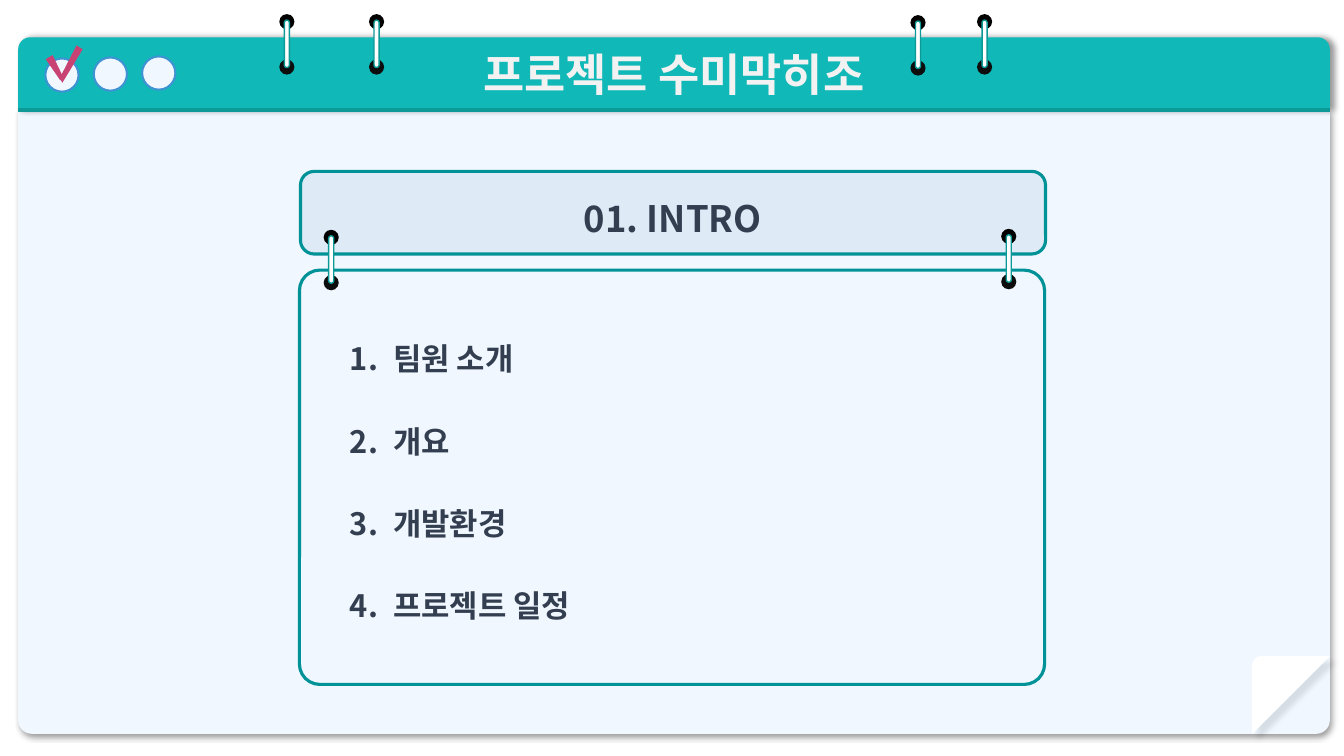
import math
from lxml import etree
from pptx import Presentation, util as u
from pptx.dml import color
from pptx.enum import shapes, text
from pptx.oxml import ns

HUES = {
    "teal": "10B8B7", "edge": "0D9A97", "frame": "009297", "page": "F0F7FF",
    "pale": "DEEBF7", "blue": "3E93D3", "rose": "C84374", "ink": "333F50",
    "light": "F2F2F2", "white": "FFFFFF", "black": "000000", "dark": "0D0D0D",
}
FONT = "Noto Sans CJK KR"
KIND = shapes.MSO_SHAPE
SIDE = text.PP_ALIGN
DOT = 0.15


def hue(name):
    return color.RGBColor.from_string(HUES[name])


def add_sub(node, tag, **attrs):
    return etree.SubElement(node, ns.qn(tag), attrs)


def style(shape, fill=None, line=None, width=1, shade=None):
    """Set fill and line; shade is (alpha %, blur pt, distance pt, angle)."""
    shape.shadow.inherit = False
    if fill:
        shape.fill.solid()
        shape.fill.fore_color.rgb = hue(fill)
    else:
        shape.fill.background()
    if line:
        shape.line.color.rgb = hue(line)
        shape.line.width = u.Pt(width)
    else:
        shape.line.fill.background()
    if shade:
        alpha, blur, dist, angle = shade
        list_node = shape._element.spPr.find(ns.qn("a:effectLst"))
        cast = add_sub(list_node, "a:outerShdw", blurRad=str(u.Pt(blur)),
                       dist=str(u.Pt(dist)), dir=str(angle * 60000),
                       algn="ctr", rotWithShape="0")
        tint = add_sub(cast, "a:srgbClr", val=HUES["black"])
        add_sub(tint, "a:alpha", val=str(alpha * 1000))
    return shape


def draw(slide, kind, box, adj=(), turn=0, **look):
    shape = slide.shapes.add_shape(kind, *map(u.Inches, box))
    for i, value in enumerate(adj):
        shape.adjustments[i] = value
    shape.rotation = turn
    return style(shape, **look)


def trace(slide, points, **look):
    spots = [(u.Inches(x), u.Inches(y)) for x, y in points]
    form = slide.shapes.build_freeform(*spots[0], scale=1)
    form.add_line_segments(spots[1:], close=True)
    return style(form.convert_to_shape(), **look)


def write(shape, lines, size=22, tint="ink", align=SIDE.LEFT, space=1.0, gap=0):
    frame = shape.text_frame
    frame.word_wrap = True
    frame.auto_size = text.MSO_AUTO_SIZE.NONE
    frame.vertical_anchor = text.MSO_ANCHOR.MIDDLE
    for i, line in enumerate(lines):
        para = frame.add_paragraph() if i else frame.paragraphs[0]
        para.alignment = align
        para.line_spacing = space
        para.space_before = u.Pt(gap if i else 0)
        run = para.add_run()
        run.text = line
        run.font.size = u.Pt(size)
        run.font.bold = True
        run.font.name = FONT
        run.font.color.rgb = hue(tint)
        add_sub(run._r.get_or_add_rPr(), "a:ea", typeface=FONT)


def place(slide, holder, box):
    """Move a placeholder into the box and to the front."""
    holder.left, holder.top, holder.width, holder.height = map(u.Inches, box)
    slide.shapes._spTree.append(holder._element)


def add_ring(slide, x, y):
    for drop, fill in ((0.45, "dark"), (0, "black")):
        draw(slide, KIND.OVAL, (x, y + drop, DOT, DOT), fill=fill)
    draw(slide, KIND.ROUNDED_RECTANGLE, (x + 0.05, y + 0.06, 0.05, 0.47),
         adj=(0.5,), fill="white", line="edge")


def add_page(slide, box):
    x, y, w, h = box
    draw(slide, KIND.ROUND_2_SAME_RECTANGLE, box, adj=(0, 0.022),
         fill="page", shade=(40, 4, 3, 45))
    # Folded corner with a rounded tip
    size, bend = 0.77, 0.09
    right, low = x + w, y + h
    left, top = right - size, low - size
    curve = [(left + bend - bend * math.cos(math.radians(a)),
              top + bend - bend * math.sin(math.radians(a)))
             for a in range(0, 91, 15)]
    trace(slide, [(left, low), *curve, (right, top)],
          fill="white", shade=(10, 4, 6, 45))


def add_header(slide, box, title):
    x, y, w, h = box
    draw(slide, KIND.ROUND_2_SAME_RECTANGLE, box, fill="teal", shade=(40, 4, 3, 0))
    rule = slide.shapes.add_connector(
        shapes.MSO_CONNECTOR.STRAIGHT,
        *map(u.Inches, (x, y + h, x + w, y + h)))
    rule.line.color.rgb = hue("edge")
    rule.line.width = u.Pt(2.5)
    add_sub(rule._element.spPr, "a:effectLst")
    place(slide, slide.shapes.title, box)
    write(slide.shapes.title, [title], size=32, tint="light", align=SIDE.CENTER)
    # Three buttons, the first one ticked
    for i in range(3):
        draw(slide, KIND.OVAL, (x + 0.27 + 0.48 * i, y + 0.21 - 0.01 * i, 0.33, 0.33),
             fill="page", line="blue", width=1.5)
    draw(slide, KIND.TRAPEZOID, (x + 0.33, y + 0.18, 0.08, 0.25), turn=150, fill="rose")
    tick = ((0.64, 0.12), (0.44, 0.45), (0.41, 0.41), (0.58, 0.08))
    trace(slide, [(x + dx, y + dy) for dx, dy in tick], fill="rose")


def add_intro(slide, box, label):
    card = draw(slide, KIND.ROUNDED_RECTANGLE, box, fill="pale", line="frame", width=2.25)
    write(card, [label], size=26, align=SIDE.CENTER, space=1.25)


def add_list(slide, box, items):
    draw(slide, KIND.ROUNDED_RECTANGLE, box, adj=(0.049,), line="frame", width=2.25)
    body = slide.placeholders[1]
    place(slide, body, box)
    write(body, items, space=1.25, gap=25.8)
    for para in body.text_frame.paragraphs:
        props = para._p.get_or_add_pPr()
        props.set("marL", str(u.Inches(0.83)))
        props.set("indent", str(u.Inches(-0.43)))
        add_sub(props, "a:buFont", typeface=FONT)
        add_sub(props, "a:buAutoNum", type="arabicPeriod")


def main():
    deck = Presentation()
    deck.slide_width, deck.slide_height = u.Inches(13.33), u.Inches(7.5)
    slide = deck.slides.add_slide(deck.slide_layouts[1])
    add_page(slide, (0.18, 1.09, 13.01, 6.19))
    add_header(slide, (0.18, 0.37, 13.01, 0.72), "프로젝트 수미막히조")
    add_intro(slide, (2.98, 1.7, 7.39, 0.82), "01. INTRO")
    add_list(slide, (2.97, 2.68, 7.39, 4.11),
             ["팀원 소개", "개요", "개발환경", "프로젝트 일정"])
    # Binder rings
    for x, y in ((2.77, 0.14), (3.66, 0.14), (9.03, 0.15), (9.69, 0.14),
                 (3.21, 2.28), (9.93, 2.27)):
        add_ring(slide, x, y)
    deck.save("out.pptx")


if __name__ == "__main__":
    main()
